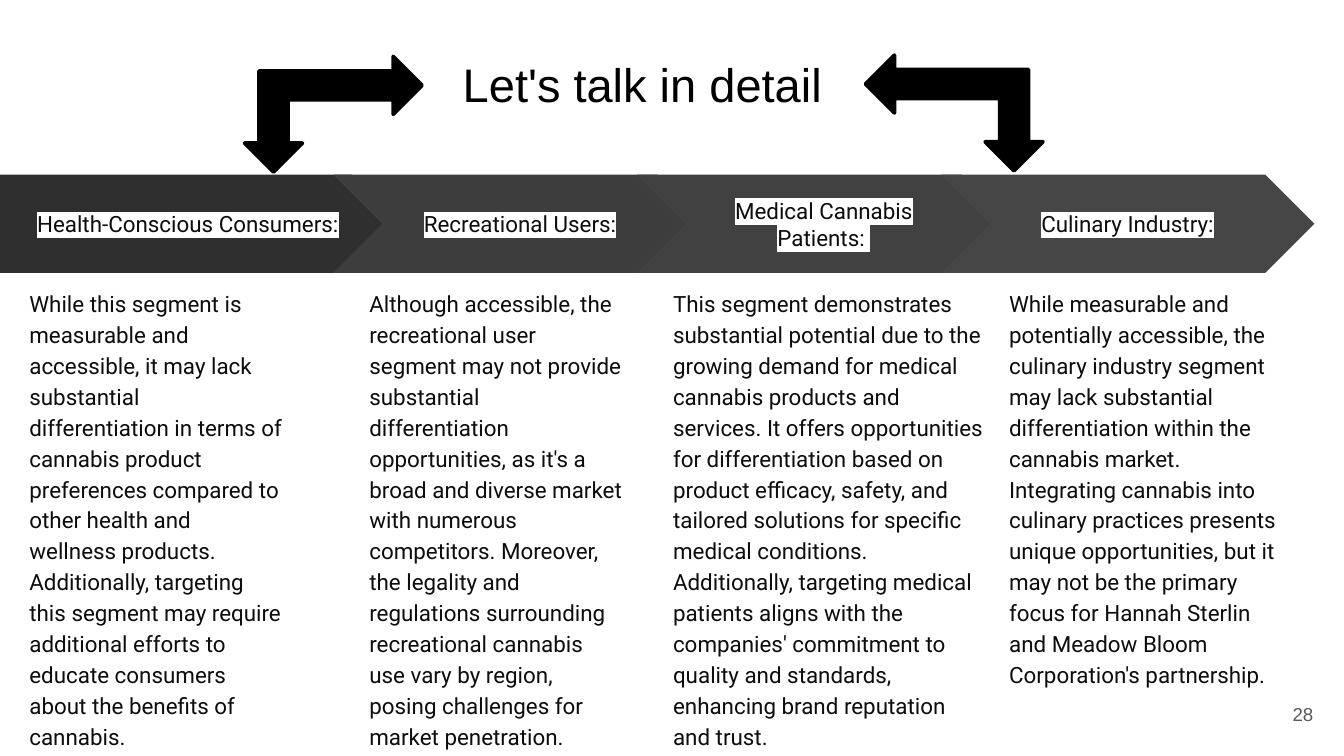
from lxml.etree import Element
from pptx import Presentation
from pptx.dml.color import RGBColor
from pptx.enum.shapes import MSO_SHAPE
from pptx.enum.text import MSO_ANCHOR, PP_ALIGN
from pptx.oxml.ns import qn
from pptx.util import Inches, Pt

COLORS = {"black": "000000", "ink": "0D0D0D", "white": "FFFFFF", "gray": "595959"}
TITLE = "Let's talk in detail"
PAGE = "28"

# heading, band fill, band left, band width, text left, text width, text
SEGMENTS = [
    ("Health-Conscious Consumers:", "2F2F2F", 0, 2.98, 0.12, 2.08,
     "While this segment is measurable and accessible, it may lack substantial "
     "differentiation in terms of cannabis product preferences compared to other "
     "health and wellness products. Additionally, targeting this segment may require "
     "additional efforts to educate consumers about the benefits of cannabis."),
    ("Recreational Users:", "3D3D3D", 2.48, 2.78, 2.65, 2.08,
     "Although accessible, the recreational user segment may not provide substantial "
     "differentiation opportunities, as it's a broad and diverse market with numerous "
     "competitors. Moreover, the legality and regulations surrounding recreational "
     "cannabis use vary by region, posing challenges for market penetration."),
    ("Medical Cannabis Patients: ", "414141", 4.74, 2.78, 4.91, 2.54,
     "This segment demonstrates substantial potential due to the growing demand for "
     "medical cannabis products and services. It offers opportunities for "
     "differentiation based on product efficacy, safety, and tailored solutions for "
     "specific medical conditions. Additionally, targeting medical patients aligns "
     "with the companies' commitment to quality and standards, enhancing brand "
     "reputation and trust."),
    ("Culinary Industry:", "464646", 7, 2.78, 7.41, 2.25,
     "While measurable and potentially accessible, the culinary industry segment may "
     "lack substantial differentiation within the cannabis market. Integrating "
     "cannabis into culinary practices presents unique opportunities, but it may not "
     "be the primary focus for Hannah Sterlin and Meadow Bloom Corporation's "
     "partnership."),
]
# left, top, mirrored
ARROWS = [(1.82, 0.42, False), (6.44, 0.41, True)]
BAND_TOP, BAND_HIGH, TEXT_HIGH = 1.3, 0.73, 2.86


def rgb(code):
    return RGBColor.from_string(code)


def write(shape, text, size, font, color, align, anchor=MSO_ANCHOR.TOP, marked=False):
    """Fill a shape with one paragraph; marked adds a white highlight."""
    frame = shape.text_frame
    frame.text = text
    frame.word_wrap = True
    frame.vertical_anchor = anchor
    frame.margin_left = frame.margin_right = Inches(0.1)
    frame.margin_top = frame.margin_bottom = Inches(0.1)
    para = frame.paragraphs[0]
    para.alignment = align
    run = para.runs[0]
    run.font.size, run.font.name = Pt(size), font
    run.font.color.rgb = rgb(COLORS[color])
    if marked:
        mark = Element(qn("a:highlight"))
        mark.append(Element(qn("a:srgbClr"), val=COLORS["white"]))
        run.font._element.find(qn("a:solidFill")).addnext(mark)
    return para


def add_box(slide, left, top, width, height):
    return slide.shapes.add_textbox(*map(Inches, (left, top, width, height)))


def add_solid(slide, kind, fill, left, top, width, height):
    shape = slide.shapes.add_shape(kind, *map(Inches, (left, top, width, height)))
    shape.shadow.inherit = False
    shape.fill.solid()
    shape.fill.fore_color.rgb = rgb(fill)
    shape.line.fill.background()
    return shape


def add_segment(slide, index, segment):
    head, fill, left, width, text_left, text_width, text = segment
    kind = MSO_SHAPE.CHEVRON if index else MSO_SHAPE.PENTAGON
    band = add_solid(slide, kind, fill, left, BAND_TOP, width, BAND_HIGH)
    write(band, head, 12, "Roboto", "ink", PP_ALIGN.CENTER, MSO_ANCHOR.MIDDLE, True)
    box = add_box(slide, text_left, BAND_TOP + BAND_HIGH, text_width, TEXT_HIGH)
    para = write(box, text, 12, "Roboto", "ink", PP_ALIGN.LEFT, marked=True)
    para.line_spacing = 1.15


def add_arrow(slide, left, top, mirrored):
    arrow = add_solid(slide, MSO_SHAPE.LEFT_UP_ARROW, COLORS["black"], left, top, 1.32, 0.86)
    arrow.line.color.rgb = rgb(COLORS["black"])
    arrow.line.width = Pt(2)
    arrow.line._ln.append(Element(qn("a:round")))
    arrow.rotation = 180
    if mirrored:
        arrow._element.spPr.xfrm.set("flipH", "1")


def main():
    deck = Presentation()
    deck.slide_width = Inches(10)
    deck.slide_height = deck.slide_width * 9 // 16
    slide = deck.slides.add_slide(deck.slide_layouts[5])
    title = slide.shapes.title
    title.left, title.top = Inches(0.12), Inches(0.31)
    title.width, title.height = Inches(9.32), Inches(0.63)
    write(title, TITLE, 25.2, "Arial", "black", PP_ALIGN.CENTER)
    for index, segment in enumerate(SEGMENTS):
        add_segment(slide, index, segment)
    for arrow in ARROWS:
        add_arrow(slide, *arrow)
    number = add_box(slide, 9.27, 5.1, 0.6, 0.43)
    write(number, PAGE, 10, "Arial", "gray", PP_ALIGN.RIGHT, MSO_ANCHOR.MIDDLE)
    deck.save("out.pptx")


if __name__ == "__main__":
    main()
